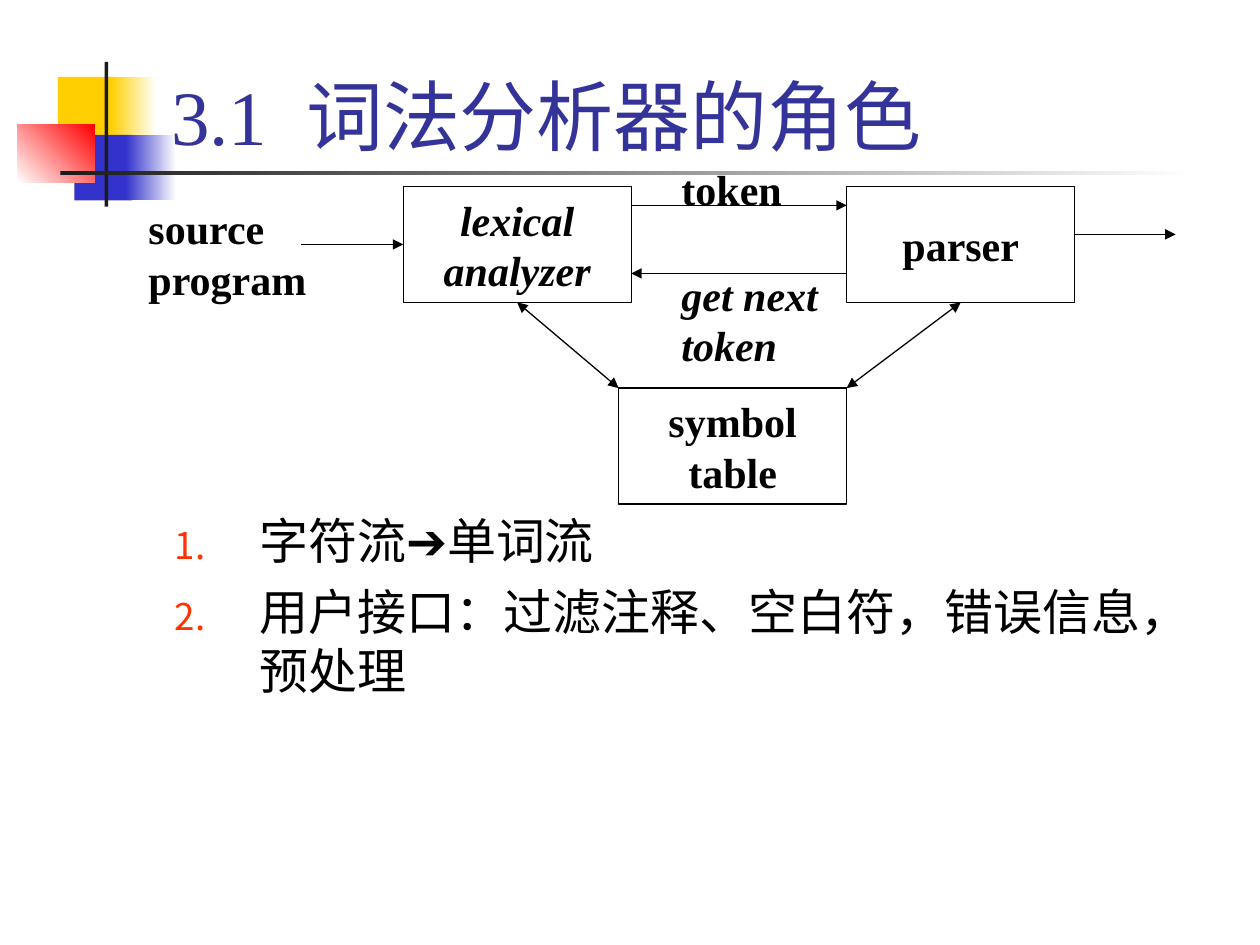
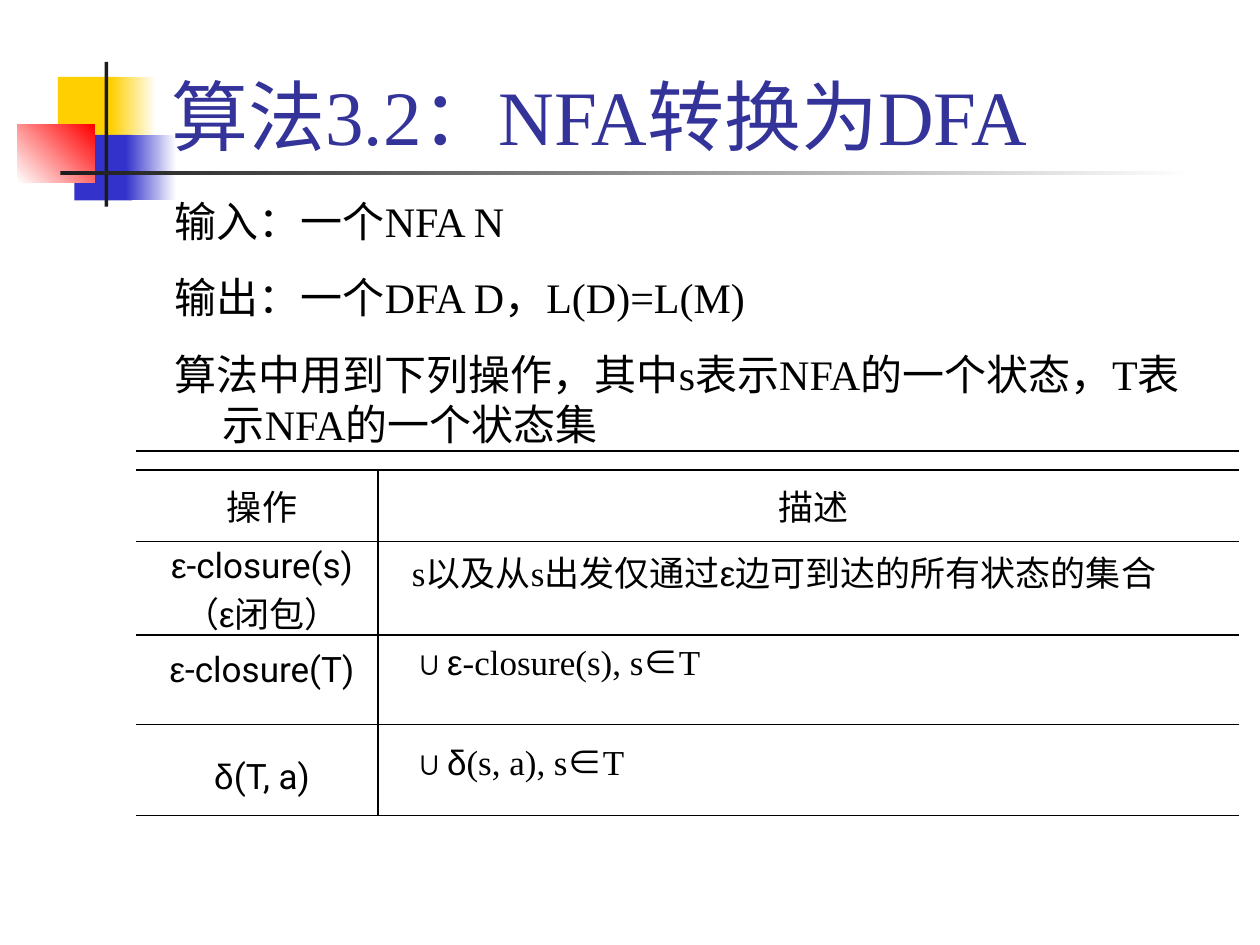
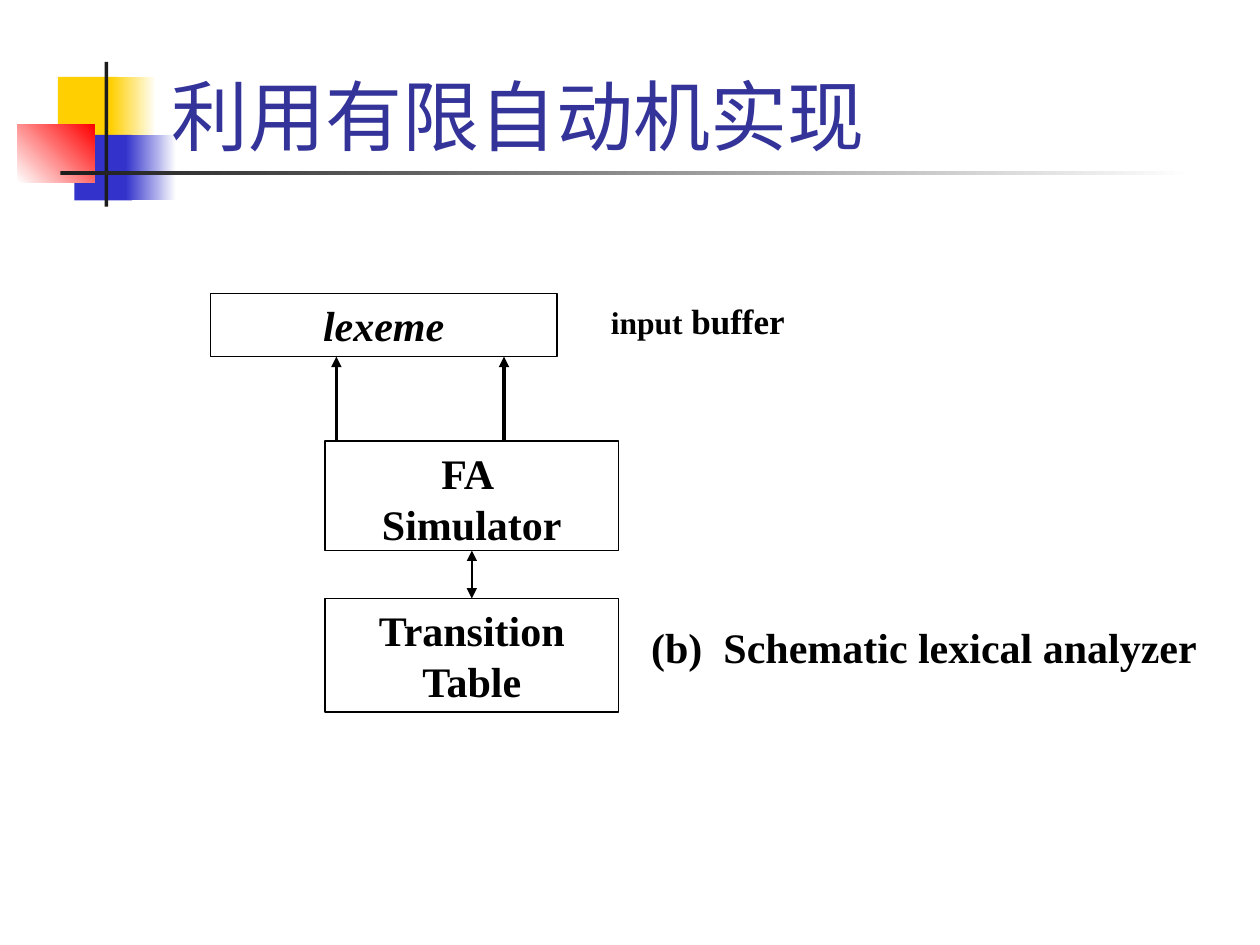
from lxml.etree import SubElement
from pptx import Presentation
from pptx.dml.color import RGBColor
from pptx.enum.shapes import MSO_CONNECTOR, MSO_SHAPE
from pptx.enum.text import MSO_ANCHOR, PP_ALIGN
from pptx.oxml import parse_xml
from pptx.oxml.ns import nsdecls, qn
from pptx.util import Inches, Pt

COLORS = {
    "text": "000000", "title": "333399", "number": "FF3300", "white": "FFFFFF",
    "yellow": "FFCF01", "blue": "3333CC", "red": "FF0000", "bar": "1C1C1C",
}
SERIF, GREEK, SANS, CJK = "Times New Roman", "Arial", "Roboto", "Noto Sans CJK SC"
# Left, top, width, height, then one colour or the two ends of a gradient.
BAND = [
    (0.46, 0.61, 0.48, 0.52, "yellow"),
    (0.88, 0.61, 0.36, 0.52, "yellow", "white"),
    (0.59, 1.07, 0.46, 0.52, "blue"),
    (1, 1.07, 0.4, 0.52, "blue", "white"),
    (0.14, 0.99, 0.61, 0.46, "white", "red"),
    (0.83, 0.49, 0.03, 1.15, "bar"),
    (0.48, 1.36, 9, 0.03, "bar", "white"),
]


def rgb(name):
    return RGBColor.from_string(COLORS[name])


class Lecture:
    def __init__(self):
        self.deck = Presentation()
        self.deck.slide_width, self.deck.slide_height = Inches(10), Inches(7.5)
        self.page = None

    def new_page(self, title):
        self.page = self.deck.slides.add_slide(self.deck.slide_layouts[6])
        for left, top, width, height, *colors in BAND:
            self.band_part(left, top, width, height, colors)
        self.label(1.26, 0.08, 8.52, 1.25, [title], size=44, color="title",
                   bold=False, anchor=MSO_ANCHOR.BOTTOM)

    def rectangle(self, left, top, width, height):
        box = self.page.shapes.add_shape(
            MSO_SHAPE.RECTANGLE, Inches(left), Inches(top), Inches(width), Inches(height))
        box.shadow.inherit = False
        return box

    def band_part(self, left, top, width, height, colors):
        part = self.rectangle(left, top, width, height)
        part.line.fill.background()
        if len(colors) == 1:
            part.fill.solid()
            part.fill.fore_color.rgb = rgb(colors[0])
            return
        part.fill.gradient()
        part.fill.gradient_angle = 45 if colors[1] == "red" else 0
        for stop, color in zip(part.fill.gradient_stops, colors):
            stop.color.rgb = rgb(color)

    def fill_text(self, frame, paragraphs, size=24, color="text", bold=True, italic=False,
                  align=PP_ALIGN.LEFT, gap=15, anchor=MSO_ANCHOR.TOP):
        """Fill a frame; a paragraph is a string or a list of (text, font, size) spans."""
        frame.word_wrap = True
        frame.vertical_anchor = anchor
        for index, content in enumerate(paragraphs):
            para = frame.add_paragraph() if index else frame.paragraphs[0]
            para.alignment = align
            if index:
                para.space_before = Pt(gap)
            spans = [(content,)] if isinstance(content, str) else content
            for text, *style in spans:
                span = para.add_run()
                span.text = text
                span.font.name = style[0] if style else SERIF
                span.font.size = Pt(style[1] if len(style) > 1 else size)
                span.font.bold, span.font.italic = bold, italic
                span.font.color.rgb = rgb(color)

    def label(self, left, top, width, height, paragraphs, **style):
        box = self.page.shapes.add_textbox(
            Inches(left), Inches(top), Inches(width), Inches(height))
        self.fill_text(box.text_frame, paragraphs, **style)
        return box

    def body(self, top, height, paragraphs, indent, numbered=False, **style):
        box = self.label(1.29, top, 8.5, height, paragraphs, bold=False, **style)
        for para in box.text_frame.paragraphs:
            properties = para._p.get_or_add_pPr()
            properties.set("marL", str(Inches(indent)))
            properties.set("indent", str(-Inches(indent)))
            if numbered:
                color = SubElement(properties, qn("a:buClr"))
                SubElement(color, qn("a:srgbClr"), val=COLORS["number"])
                SubElement(properties, qn("a:buSzPct"), val="75000")
                SubElement(properties, qn("a:buFont"), typeface=CJK)
                SubElement(properties, qn("a:buAutoNum"), type="arabicPeriod")

    def node(self, left, top, width, height, paragraphs, line=0.75, **style):
        box = self.rectangle(left, top, width, height)
        box.fill.background()
        box.line.color.rgb = rgb("text")
        box.line.width = Pt(line)
        self.fill_text(box.text_frame, paragraphs, align=PP_ALIGN.CENTER,
                       anchor=MSO_ANCHOR.MIDDLE, **style)
        return box

    def line(self, start, end, width=0.75, ends=(), begin_at=None, end_at=None):
        """Draw a line; ends names its arrowheads, *_at is a (box, side) to join."""
        points = [Inches(value) for value in (*start, *end)]
        connector = self.page.shapes.add_connector(MSO_CONNECTOR.STRAIGHT, *points)
        connector.line.color.rgb = rgb("text")
        connector.line.width = Pt(width)
        for name in ends:
            SubElement(connector.line._get_or_add_ln(), qn(f"a:{name}End"), type="triangle")
        SubElement(connector._element.spPr, qn("a:effectLst"))
        if begin_at:
            connector.begin_connect(*begin_at)
        if end_at:
            connector.end_connect(*end_at)

    def table(self, left, top, widths, heights, rows):
        """Build a ruled table; a cell is (space above, alignment, paragraphs)."""
        frame = self.page.shapes.add_table(
            len(rows), len(widths), Inches(left), Inches(top),
            Inches(sum(widths)), Inches(sum(heights)))
        grid = frame.table
        grid.first_row = grid.horz_banding = False
        for column, width in zip(grid.columns, widths):
            column.width = Inches(width)
        for row, height in zip(grid.rows, heights):
            row.height = Inches(height)
        for row_index, row in enumerate(rows):
            for column_index, (above, align, paragraphs) in enumerate(row):
                cell = grid.cell(row_index, column_index)
                cell.margin_left, cell.margin_right = (
                    (Inches(0.27), Inches(0.18)) if column_index else (Inches(0.1), Inches(0.02)))
                cell.margin_top, cell.margin_bottom = Inches(above), 0
                self.fill_text(cell.text_frame, paragraphs, size=20, bold=False,
                               align=align, gap=0)
                cell.fill.background()
                self.rule_cell(cell, left=column_index > 0, right=column_index < len(widths) - 1)

    def rule_cell(self, cell, left, right):
        properties = cell._tc.get_or_add_tcPr()
        sides = {"L": left, "R": right, "T": True, "B": True}
        for position, (side, drawn) in enumerate(sides.items()):
            fill = (f'<a:solidFill><a:srgbClr val="{COLORS["text"]}"/></a:solidFill>'
                    if drawn else "<a:noFill/>")
            border = f'<a:ln{side} {nsdecls("a")} w="{Pt(0.75)}">{fill}</a:ln{side}>'
            properties.insert(position, parse_xml(border))


def analyzer_role(lecture):
    lecture.new_page("3.1  词法分析器的角色")
    lecture.body(4, 2.17, [
        [("字符流",), ("➔", GREEK), ("单词流",)],
        "用户接口：过滤注释、空白符，错误信息，预处理",
    ], indent=0.67, numbered=True, size=28, gap=7)
    width, height = 1.81, 0.92
    lexer = lecture.node(3.2, 1.48, width, height, ["lexical analyzer"], italic=True)
    parser = lecture.node(6.72, 1.48, width, height, ["parser"])
    lecture.node(4.91, 3.08, width, height, ["symbol table"])
    lecture.line((5.01, 1.63), (6.72, 1.63), ends=["tail"])
    lecture.line((6.72, 2.17), (5.01, 2.17), ends=["tail"])
    both = ["head", "tail"]
    lecture.line((6.72, 3.08), (7.62, 2.4), ends=both, end_at=(parser, 2))
    lecture.line((4.91, 3.08), (4.1, 2.4), ends=both, end_at=(lexer, 2))
    lecture.line((2.39, 1.94), (3.2, 1.94), ends=["tail"], end_at=(lexer, 1))
    lecture.line((8.53, 1.86), (9.33, 1.86), ends=["tail"])
    lecture.label(1.08, 1.56, 1.71, 0.9, ["source program"])
    lecture.label(5.31, 1.25, 1.01, 0.5, ["token"])
    lecture.label(5.31, 2.09, 1.31, 0.9, ["get next token"], italic=True)


def subset_construction(lecture):
    lecture.new_page("算法3.2：NFA转换为DFA")
    lecture.body(1.5, 2.08, [
        "输入：一个NFA N",
        "输出：一个DFA D，L(D)=L(M)",
        "算法中用到下列操作，其中s表示NFA的一个状态，T表示NFA的一个状态集",
    ], indent=0.38)
    lecture.line((1.08, 3.58), (9.83, 3.58))
    left, center = PP_ALIGN.LEFT, PP_ALIGN.CENTER
    epsilon, member = ("ε", GREEK), [("∈", CJK), ("T",)]
    lecture.table(1.08, 3.73, [1.92, 6.83], [0.57, 0.74, 0.71, 0.72], [
        [(0.08, center, ["操作"]), (0.08, center, ["描述"])],
        [(0.03, center, [[epsilon, ("-closure(s)", SANS)],
                         [("（", CJK), epsilon, ("闭包）", CJK)]]),
         (0.03, left, [[("s以及从s出发仅通过",), epsilon, ("边可到达的所有状态的集合",)]])],
        [(0.12, center, [[epsilon, ("-closure(T)", SANS)]]),
         (0, left, [[("∪",), epsilon, ("-closure(s), s",), *member]])],
        [(0.26, center, [[("δ", GREEK), ("(T, a)", SANS)]]),
         (0.08, left, [[("∪",), ("δ", GREEK), ("(s, a), s",), *member]])],
    ])


def automaton_design(lecture):
    lecture.new_page("利用有限自动机实现")
    simulator = lecture.node(2.58, 3.5, 2.33, 0.87, ["FA ", "Simulator"], line=1)
    simulator.text_frame.paragraphs[1].line_spacing = 0.4
    transitions = lecture.node(2.58, 4.75, 2.33, 0.9, ["Transition Table"], line=1)
    lecture.line((3.75, 4.37), (3.75, 4.75), width=1.5, ends=["head", "tail"],
                 begin_at=(simulator, 2), end_at=(transitions, 0))
    lecture.node(1.67, 2.33, 2.75, 0.5, ["lexeme"], line=1, italic=True)
    lecture.label(4.75, 2.33, 2.33, 0.44, [[("input", SERIF, 18), (" buffer", SERIF, 20)]])
    for pointer in (2.67, 4):
        lecture.line((pointer, 3.5), (pointer, 2.83), width=2, ends=["tail"])
    caption = lecture.label(5.07, 4.88, 4.53, 0.5, ["(b)  Schematic lexical analyzer"])
    caption.text_frame.word_wrap = False


def main():
    lecture = Lecture()
    for build in (analyzer_role, subset_construction, automaton_design):
        build(lecture)
    lecture.deck.save("out.pptx")


if __name__ == "__main__":
    main()
